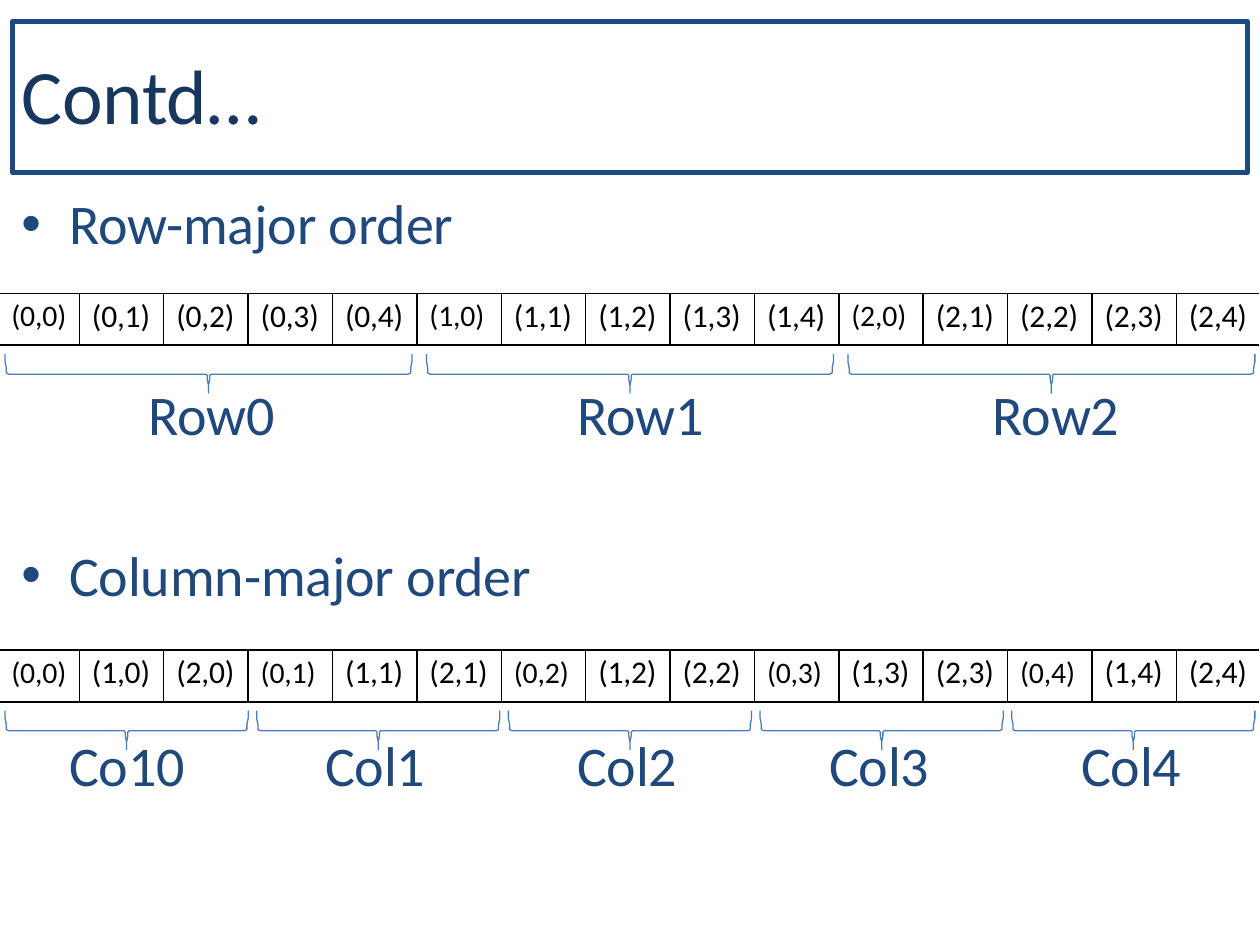
from lxml.etree import SubElement
from pptx import Presentation
from pptx.dml.color import RGBColor
from pptx.enum.shapes import MSO_SHAPE as Shape
from pptx.enum.text import MSO_ANCHOR as Anchor, PP_ALIGN as Align
from pptx.oxml.ns import qn
from pptx.util import Inches, Pt

NAVY = RGBColor(0x1F, 0x48, 0x7C)
TITLE_NAVY = RGBColor(0x17, 0x37, 0x5E)
BRACE_BLUE = RGBColor(0x49, 0x7D, 0xBA)
BLACK = RGBColor(0, 0, 0)
FONT = "Calibri"

WIDTH, HEIGHT = 10, 7.5
ROWS, COLUMNS = 3, 5
TITLE = "Contd…"

# Each label comes with its left edge; each group lists the cells it covers.
ORDERS = [
    dict(
        heading="Row-major order", heading_top=1.47, heading_width=3.48,
        table_top=2.33, brace_top=2.81, brace_width=3.23,
        label_top=2.98, label_width=1.04,
        labels=[("Row0", 1.17), ("Row1", 4.57), ("Row2", 7.87)],
        groups=[[(r, c) for c in range(COLUMNS)] for r in range(ROWS)],
    ),
    dict(
        heading="Column-major order", heading_top=4.26, heading_width=4.1,
        table_top=5.16, brace_top=5.64, brace_width=1.93,
        label_top=5.77, label_width=0.95,
        labels=[("Co10", 0.54), ("Col1", 2.57), ("Col2", 4.57),
                ("Col3", 6.57), ("Col4", 8.57)],
        groups=[[(r, c) for r in range(ROWS)] for c in range(COLUMNS)],
    ),
]

TABLE_LEFT, ROW_HEIGHT = -0.01, 0.41
CELL_WIDTHS = [0.64] + [0.67] * 13 + [0.66]
BRACE_MARGIN = 0.04
# Left half of a brace: offsets from its outer end, then from its middle.
BRACE_END = [(0, 0), (0, 0.06), (0.01, 0.11), (0.01, 0.15), (0.03, 0.16)]
BRACE_TIP = [(-0.02, 0.16), (-0.01, 0.17), (-0.01, 0.2), (0, 0.25), (0, 0.31)]


def write(holder, text, size, color, inset_left=0.01, inset_top=0.03,
          bullet=False):
    """Fill a shape or a table cell with one line of text."""
    para = holder.text_frame.paragraphs[0]
    para.alignment = Align.LEFT
    if bullet:
        properties = para._p.get_or_add_pPr()
        properties.set("marL", str(Inches(0.39)))
        properties.set("indent", str(Inches(-0.38)))
        SubElement(properties, qn("a:buFont"), typeface="Arial")
        SubElement(properties, qn("a:buChar"), char="•")
    span = para.add_run()
    span.text = text
    span.font.name = FONT
    span.font.size = Pt(size)
    span.font.color.rgb = color
    span.font._element.set("spc", "-10")
    # A cell keeps its own margins; a shape keeps them on its text frame.
    area = holder if hasattr(holder, "margin_left") else holder.text_frame
    area.margin_left, area.margin_top = Inches(inset_left), Inches(inset_top)
    area.margin_right = area.margin_bottom = 0
    area.vertical_anchor = Anchor.TOP
    area.word_wrap = True


def add_title(page):
    box = page.shapes.add_shape(
        Shape.RECTANGLE, Inches(0.1), Inches(0.17), Inches(9.8), Inches(1.2))
    box.shadow.inherit = False
    box.fill.background()
    box.line.color.rgb = NAVY
    box.line.width = Pt(3)
    write(box, TITLE, 44, TITLE_NAVY, inset_left=0.07, inset_top=0.21)


def add_text(page, text, left, top, width, **style):
    box = page.shapes.add_textbox(
        Inches(left), Inches(top), Inches(width), Inches(0.56))
    write(box, text, 32, NAVY, **style)


def set_borders(cell, open_side):
    """Rule a cell on every side but the open one."""
    properties = cell._tc.get_or_add_tcPr()
    for side in ("L", "R", "T", "B"):
        line = SubElement(properties, qn(f"a:ln{side}"), w=str(Pt(1)))
        if side == open_side:
            SubElement(line, qn("a:noFill"))
        else:
            fill = SubElement(line, qn("a:solidFill"))
            SubElement(fill, qn("a:srgbClr"), val=str(BLACK))


def add_memory_table(page, groups, top):
    entries = [(pair, place == 0) for group in groups
               for place, pair in enumerate(group)]
    table = page.shapes.add_table(
        1, len(entries), Inches(TABLE_LEFT), Inches(top),
        Inches(sum(CELL_WIDTHS)), Inches(ROW_HEIGHT)).table
    table.first_row = table.horz_banding = False
    open_sides = {0: "L", len(entries) - 1: "R"}
    for index, ((row, column), starts_group) in enumerate(entries):
        table.columns[index].width = Inches(CELL_WIDTHS[index])
        cell = table.cell(0, index)
        set_borders(cell, open_sides.get(index))
        cell.fill.background()
        size, inset_top = (17, 0.04) if starts_group else (18, 0.03)
        write(cell, f"({row},{column})", size, BLACK,
              inset_left=0.1, inset_top=inset_top)


def add_brace(page, left, top, width):
    half = BRACE_END + [(width / 2 + x, y) for x, y in BRACE_TIP]
    outline = half + [(width - x, y) for x, y in reversed(half[:-1])]
    points = [(Inches(left + x), Inches(top + y)) for x, y in outline]
    builder = page.shapes.build_freeform(*points[0])
    builder.add_line_segments(points[1:], close=False)
    brace = builder.convert_to_shape()
    brace.shadow.inherit = False
    brace.fill.background()
    brace.line.color.rgb = BRACE_BLUE
    brace.line.width = Pt(0.75)


def add_order(page, order):
    add_text(page, order["heading"], 0.16, order["heading_top"],
             order["heading_width"], inset_left=0, bullet=True)
    add_memory_table(page, order["groups"], order["table_top"])
    width = order["brace_width"]
    pitch = (WIDTH - 2 * BRACE_MARGIN - width) / (len(order["labels"]) - 1)
    for index, (label, left) in enumerate(order["labels"]):
        add_brace(page, BRACE_MARGIN + index * pitch, order["brace_top"], width)
        add_text(page, label, left, order["label_top"], order["label_width"])


def main():
    deck = Presentation()
    deck.slide_width, deck.slide_height = Inches(WIDTH), Inches(HEIGHT)
    page = deck.slides.add_slide(deck.slide_layouts[6])
    add_title(page)
    for order in ORDERS:
        add_order(page, order)
    deck.save("out.pptx")


if __name__ == "__main__":
    main()
